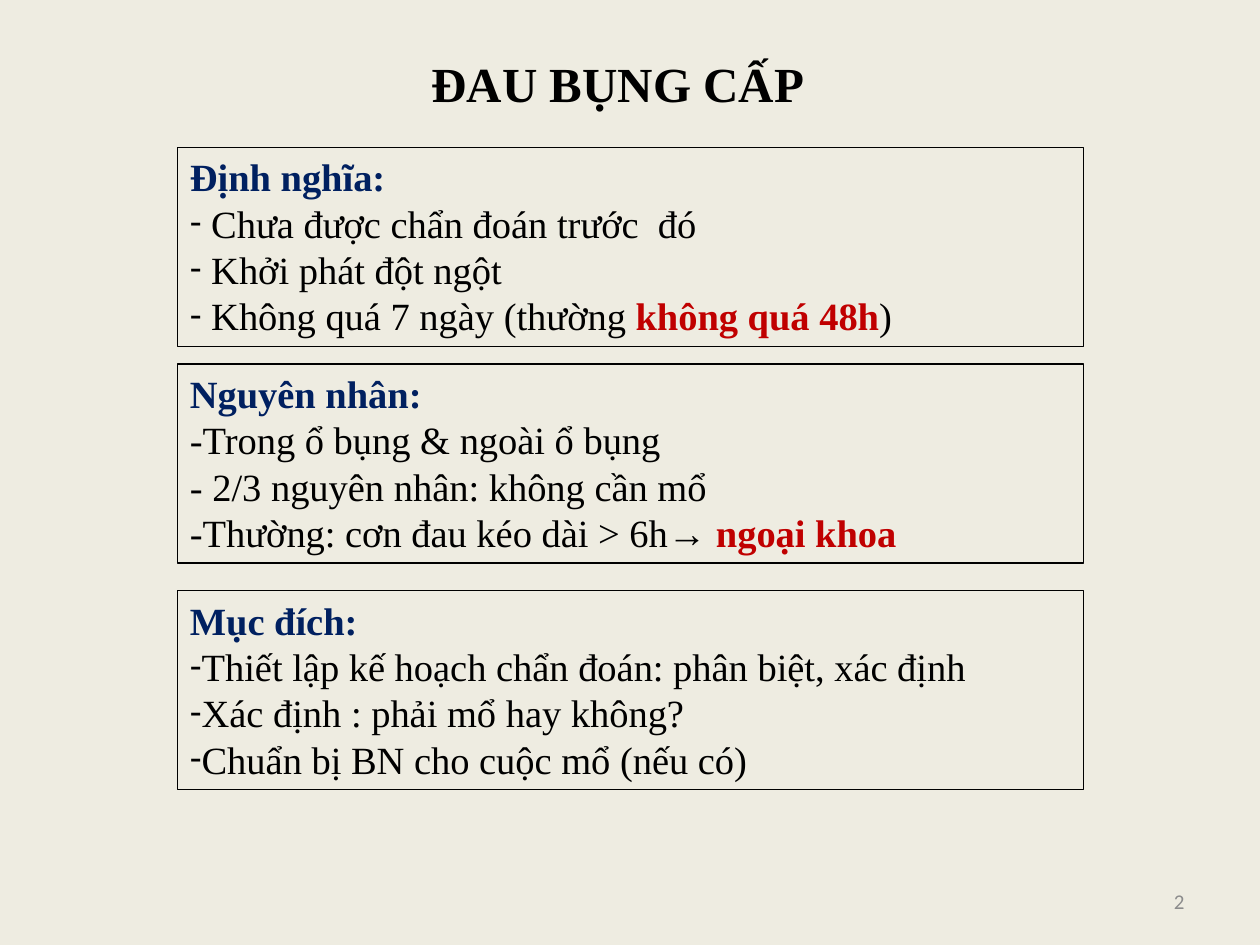
from lxml.etree import SubElement
from pptx import Presentation
from pptx.dml.color import RGBColor
from pptx.enum.text import MSO_ANCHOR, PP_ALIGN
from pptx.oxml.ns import qn
from pptx.util import Cm, Pt

COLORS = {
    "background": "EEECE1",
    "text": "000000",
    "heading": "002060",
    "emphasis": "C00000",
    "number": "8C8C8C",
}
SERIF = "Times New Roman"
SANS = "Calibri"

# Top in cm, heading, whether lines are bulleted, lines as (plain, emphasised, plain)
SECTIONS = [
    (2.97, "Định nghĩa:", True, [
        (" Chưa được chẩn đoán trước  đó",),
        (" Khởi phát đột ngột",),
        (" Không quá 7 ngày (thường ", "không quá 48h", ")"),
    ]),
    (7.34, "Nguyên nhân:", False, [
        ("-Trong ổ bụng & ngoài ổ bụng",),
        ("- 2/3 nguyên nhân: không cần mổ",),
        ("-Thường: cơn đau kéo dài > 6h→ ", "ngoại khoa"),
    ]),
    (11.91, "Mục đích:", True, [
        ("Thiết lập kế hoạch chẩn đoán: phân biệt, xác định",),
        ("Xác định : phải mổ hay không?",),
        ("Chuẩn bị BN cho cuộc mổ (nếu có)",),
    ]),
]


def color(name):
    return RGBColor.from_string(COLORS[name])


def format_font(font, size, color_name, bold=False, name=SERIF):
    font.name = name
    font.size = Pt(size)
    font.bold = bold
    font.color.rgb = color(color_name)


def add_dash_bullet(paragraph):
    properties = paragraph._p.get_or_add_pPr()
    SubElement(properties, qn("a:buFont")).set("typeface", SANS)
    SubElement(properties, qn("a:buChar")).set("char", "-")


def add_text_box(slide, left, top, width, height):
    box = slide.shapes.add_textbox(Cm(left), Cm(top), Cm(width), Cm(height))
    box.text_frame.word_wrap = True
    return box


def add_label(slide, bounds, text, alignment, **font_style):
    """Add a single vertically centred line of text."""
    text_frame = add_text_box(slide, *bounds).text_frame
    text_frame.vertical_anchor = MSO_ANCHOR.MIDDLE
    text_frame.text = text
    paragraph = text_frame.paragraphs[0]
    paragraph.alignment = alignment
    format_font(paragraph.runs[0].font, **font_style)


def add_section(slide, top, heading, bulleted, lines):
    box = add_text_box(slide, 3.58, top, 18.26, 4.01)
    box.line.color.rgb = color("text")
    box.line.width = Pt(0.75)
    text_frame = box.text_frame
    text_frame.text = heading
    format_font(text_frame.paragraphs[0].runs[0].font, 22, "heading", bold=True)
    for line in lines:
        paragraph = text_frame.add_paragraph()
        if bulleted:
            add_dash_bullet(paragraph)
        for index, part in enumerate(line):
            emphasised = index == 1
            run = paragraph.add_run()
            run.text = part
            format_font(run.font, 22, "emphasis" if emphasised else "text", emphasised)


def main():
    presentation = Presentation()
    presentation.slide_width = Cm(25.4)
    presentation.slide_height = Cm(19.05)
    slide = presentation.slides.add_slide(presentation.slide_layouts[6])
    slide.background.fill.solid()
    slide.background.fill.fore_color.rgb = color("background")

    add_label(slide, (7.54, 0.58, 9.83, 2.18), "ĐAU BỤNG CẤP", PP_ALIGN.CENTER,
              size=28, color_name="text", bold=True)
    for section in SECTIONS:
        add_section(slide, *section)
    add_label(slide, (18.21, 17.65, 5.92, 1.02), "2", PP_ALIGN.RIGHT,
              size=12, color_name="number", name=SANS)

    presentation.save("out.pptx")


if __name__ == "__main__":
    main()
